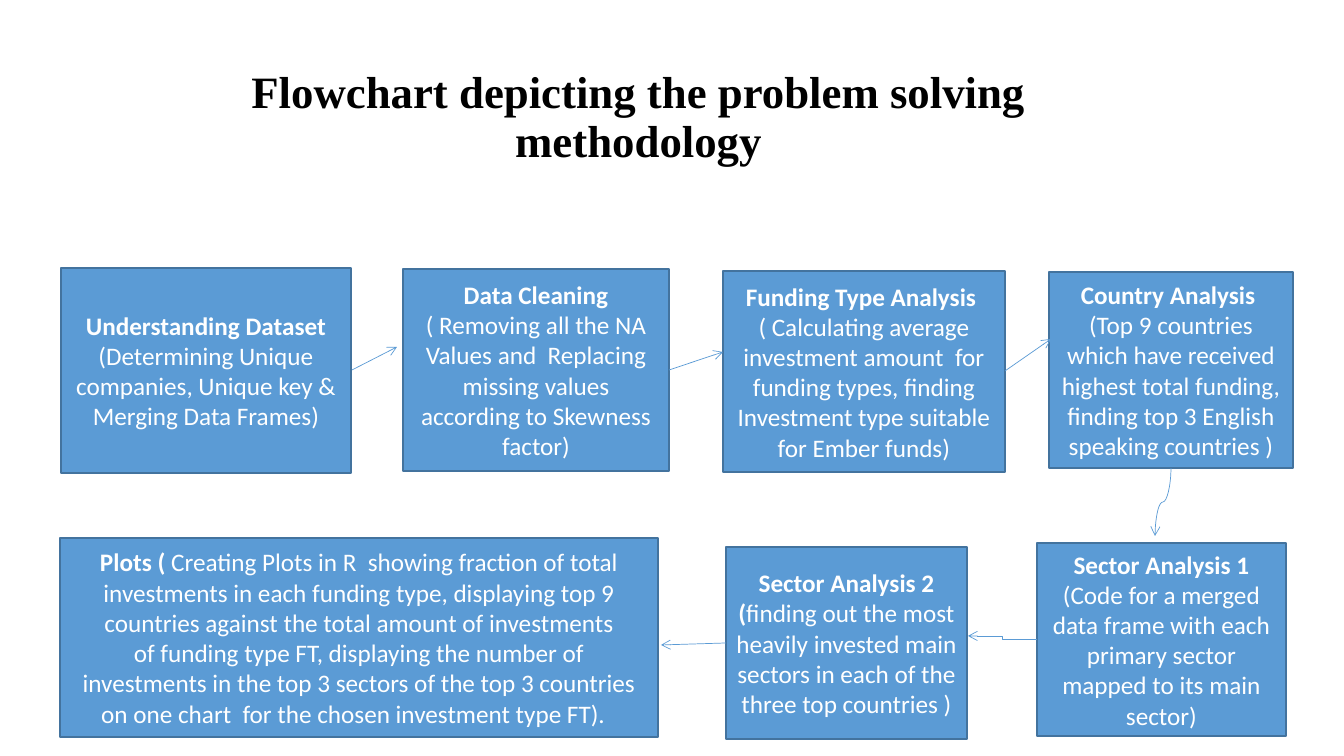
from dataclasses import dataclass
from lxml.etree import SubElement
from pptx import Presentation
from pptx.dml.color import RGBColor as RGB
from pptx.enum.shapes import MSO_CONNECTOR as Link, MSO_SHAPE as Form
from pptx.enum.text import MSO_ANCHOR as Anchor, MSO_AUTO_SIZE as Fit, PP_ALIGN as Align
from pptx.oxml.ns import qn
from pptx.util import Pt


@dataclass
class Theme:
    fill: RGB = RGB(0x5B, 0x9B, 0xD5)
    edge: RGB = RGB(0x43, 0x73, 0x9E)
    ink: RGB = RGB(0, 0, 0)
    white: RGB = RGB(255, 255, 255)
    head: str = "Times New Roman"
    body: str = "Calibri"
    big: int = 32
    small: int = 18


def px(*nums):
    return [round(n * 914400 / 100.8) for n in nums]


def style(para, name, size, color):
    para.alignment = Align.CENTER
    para.font.name, para.font.size = name, Pt(size)
    para.font.color.rgb = color


theme = Theme()
deck = Presentation()
deck.slide_width, deck.slide_height = px(1344, 756)
slide = deck.slides.add_slide(deck.slide_layouts[5])
shapes = slide.shapes

# Title
title = shapes.title
title.left, title.top, title.width, title.height = px(125, 71, 1027, 95)
frame = title.text_frame
frame.text = "Flowchart depicting the problem solving methodology"
frame.vertical_anchor, frame.auto_size = Anchor.MIDDLE, Fit.NONE
para = frame.paragraphs[0]
style(para, theme.head, theme.big, theme.ink)
para.font.bold = True
para.line_spacing = 0.9

# Steps: place, then one (bold, plain) pair per paragraph
steps = [
    ((61, 268, 290, 205), [
        ("Understanding Dataset", ""),
        ("", "(Determining Unique companies, Unique key & Merging Data Frames)")]),
    ((403, 269, 266, 202), [
        ("Data Cleaning", ""),
        ("", "( Removing all the NA Values and  Replacing missing values "
             "according to Skewness factor)")]),
    ((723, 271, 282, 201), [
        ("Funding Type Analysis ", ""),
        ("", "( Calculating average investment amount  for funding types, "
             "finding Investment type suitable for Ember funds)")]),
    ((1049, 272, 244, 196), [
        ("Country Analysis ", ""),
        ("", "(Top 9 countries which have received highest total funding, "
             "finding top 3 English speaking countries )")]),
    ((1037, 543, 249, 193), [
        ("Sector Analysis 1", ""),
        ("", "(Code for a merged data frame with each primary sector "
             "mapped to its main sector)")]),
    ((726, 547, 241, 192), [
        ("Sector Analysis 2", ""),
        ("(", "finding out the most heavily\u00a0invested main sectors "
              "in each of the three top countries )")]),
    ((60, 538, 598, 199), [
        ("Plots ( ", "Creating Plots in R  showing fraction of total investments "
                     "in each funding type, displaying top 9 countries against\u00a0the "
                     "total amount of investments of\u00a0funding type\u00a0FT, displaying "
                     "the number of investments in the top 3 sectors of the top 3 "
                     "countries on one chart  for the chosen investment\u00a0type "
                     "FT).\u00a0 ")]),
]
for place, lines in steps:
    box = shapes.add_shape(Form.RECTANGLE, *px(*place))
    box.shadow.inherit = False
    box.fill.solid()
    box.fill.fore_color.rgb = theme.fill
    box.line.color.rgb, box.line.width = theme.edge, Pt(1)
    frame = box.text_frame
    frame.word_wrap, frame.vertical_anchor = True, Anchor.MIDDLE
    for i, pair in enumerate(lines):
        para = frame.add_paragraph() if i else frame.paragraphs[0]
        style(para, theme.body, theme.small, theme.white)
        for text, bold in zip(pair, (True, False)):
            if text:
                run = para.add_run()
                run.text, run.font.bold = text, bold

# Arrows: kind, start and end, quarter turns
arrows = [
    (Link.STRAIGHT, (352, 370, 397, 347), 0),
    (Link.STRAIGHT, (669, 370, 723, 352), 0),
    (Link.STRAIGHT, (1005, 371, 1051, 339), 0),
    (Link.CURVE, (1129, 494, 1197, 510), 1),
    (Link.ELBOW, (1037, 639, 968, 636), 0),
    (Link.STRAIGHT, (726, 643, 661, 645), 0),
]
for kind, ends, turn in arrows:
    arrow = shapes.add_connector(kind, *px(*ends))
    arrow.line.color.rgb, arrow.line.width = theme.fill, Pt(0.5)
    props = arrow._element.spPr
    SubElement(props.find(qn("a:ln")), qn("a:tailEnd"), type="arrow")
    SubElement(props, qn("a:effectLst"))
    if turn:
        props.find(qn("a:xfrm")).set("rot", str(turn * 5400000))

deck.save("out.pptx")
